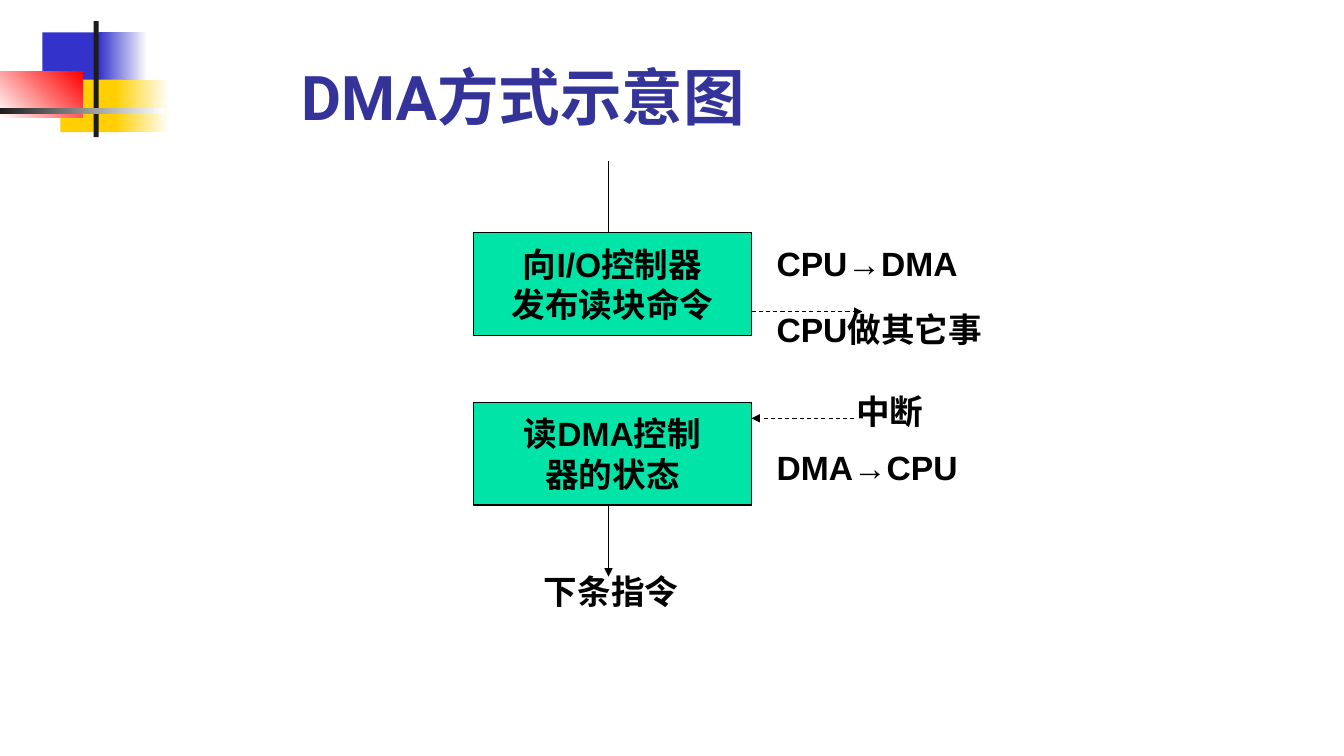
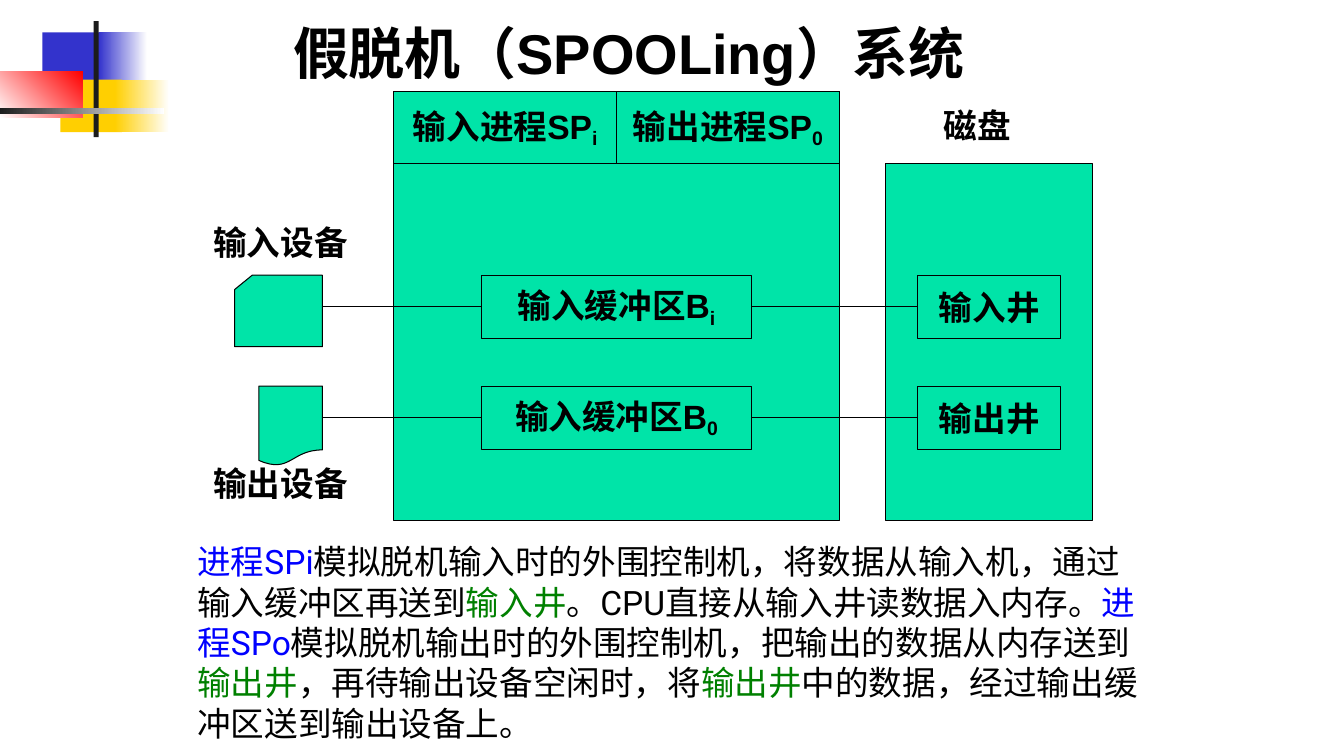
from lxml import etree
from pptx import Presentation
from pptx.dml.color import RGBColor
from pptx.enum.dml import MSO_LINE
from pptx.enum.shapes import MSO_CONNECTOR, MSO_SHAPE
from pptx.enum.text import MSO_ANCHOR, PP_ALIGN
from pptx.oxml.ns import qn
from pptx.util import Inches, Pt

rgb = RGBColor.from_string
BLACK, WHITE, DARK = "000000", "FFFFFF", "1C1C1C"
GREEN, BLUE, YELLOW, RED = "00E4A8", "3333CC", "FFCF01", "FF0000"
NAVY, TERM_BLUE, TERM_GREEN = "333399", "0000FF", "008000"
RECT = MSO_SHAPE.RECTANGLE


def add_box(s, at, fill=GREEN, kind=RECT, line=BLACK):
    sp = s.shapes.add_shape(kind, *map(Inches, at))
    sp.shadow.inherit = False
    sp.fill.solid()
    sp.fill.fore_color.rgb = rgb(fill)
    if line:
        sp.line.color.rgb = rgb(line)
        sp.line.width = Pt(0.75)
    else:
        sp.line.fill.background()
    return sp


def write(sp, paras, size=24, font="Arial", color=BLACK, bold=True,
          align=PP_ALIGN.LEFT, anchor=MSO_ANCHOR.TOP, wrap=True):
    """Fill a shape with paragraphs, each given as a list of run texts."""
    tf = sp.text_frame
    tf.word_wrap = wrap
    tf.vertical_anchor = anchor
    for i, texts in enumerate(paras):
        p = tf.add_paragraph() if i else tf.paragraphs[0]
        p.alignment = align
        for text in texts:
            r = p.add_run()
            r.text = text
            r.font.size = Pt(size)
            r.font.name = font
            r.font.bold = bold
            r.font.color.rgb = rgb(color)


prs = Presentation()
prs.slide_width, prs.slide_height = Inches(13.34), Inches(7.5)
dma, spool = [prs.slides.add_slide(prs.slide_layouts[6]) for _ in range(2)]

# Corner ornament: place, start colour, end colour, gradient angle
ornament = [
    ((0.42, 0.32, 0.64, 0.52), BLUE, None, 0),
    ((0.98, 0.32, 0.48, 0.52), BLUE, WHITE, 0),
    ((0.6, 0.79, 0.61, 0.52), YELLOW, None, 0),
    ((1.14, 0.79, 0.54, 0.52), YELLOW, WHITE, 0),
    ((0, 0.71, 0.82, 0.46), WHITE, RED, 45),
    ((0.93, 0.21, 0.05, 1.15), DARK, None, 0),
    ((0, 1.07, 1.63, 0.06), DARK, WHITE, 0),
]
for s in (dma, spool):
    for at, start, end, angle in ornament:
        sp = add_box(s, at, start, line=None)
        if end:
            sp.fill.gradient()
            sp.fill.gradient_angle = angle
            for stop, color in zip(sp.fill.gradient_stops, (start, end)):
                stop.color.rgb = rgb(color)

# Titles
for s, at, text, size, font, color in [
    (dma, (2.89, 0.52, 8.52, 0.85), "DMA方式示意图", 44, "Roboto", NAVY),
    (spool, (2.81, 0.13, 8.52, 0.77), "假脱机（SPOOLing）系统", 40, "Arial", BLACK),
]:
    tb = s.shapes.add_textbox(*map(Inches, at))
    write(tb, [[text]], size, font, color, anchor=MSO_ANCHOR.BOTTOM)

# Computer, disk and devices
ROWS = (2.73, 3.83)
add_box(spool, (3.91, 0.91, 4.42, 4.25))
add_box(spool, (8.79, 1.62, 2.05, 3.54))
add_box(spool, (2.33, 2.73, 0.87, 0.71), kind=MSO_SHAPE.FLOWCHART_CARD)
add_box(spool, (2.57, 3.83, 0.63, 0.79), kind=MSO_SHAPE.FLOWCHART_DOCUMENT)

# Boxes with text; a second run is a subscript
for s, at, paras in [
    (dma, (4.7, 2.31, 2.76, 1.02), [["向I/O控制器"], ["发布读块命令"]]),
    (dma, (4.7, 3.99, 2.76, 1.02), [["读DMA控制"], ["器的状态"]]),
    (spool, (3.91, 0.91, 2.21, 0.71), [["输入进程SP", "i"]]),
    (spool, (6.12, 0.91, 2.21, 0.71), [["输出进程SP", "0"]]),
    (spool, (4.78, ROWS[0], 2.68, 0.63), [["输入缓冲区B", "i"]]),
    (spool, (4.78, ROWS[1], 2.68, 0.63), [["输入缓冲区B", "0"]]),
    (spool, (9.11, ROWS[0], 1.42, 0.63), [["输入井"]]),
    (spool, (9.11, ROWS[1], 1.42, 0.63), [["输出井"]]),
]:
    sp = add_box(s, at)
    write(sp, paras, align=PP_ALIGN.CENTER, anchor=MSO_ANCHOR.MIDDLE, wrap=False)
    for r in sp.text_frame.paragraphs[0].runs[1:]:
        r._r.get_or_add_rPr().set("baseline", "-20000")

# Lines: ends, dashed, arrowhead
lines = [
    (dma, (6.04, 1.6, 6.04, 2.31), False, False),
    (dma, (6.04, 5.01, 6.04, 5.72), False, True),
    (dma, (7.46, 3.09, 8.56, 3.09), True, True),
    (dma, (8.48, 4.15, 7.46, 4.15), True, True),
]
for top in ROWS:
    y = top + 0.31
    for x1, x2 in [(3.2, 4.78), (7.46, 9.11)]:
        lines.append((spool, (x1, y, x2, y), False, False))
for s, ends, dashed, arrow in lines:
    c = s.shapes.add_connector(MSO_CONNECTOR.STRAIGHT, *map(Inches, ends))
    c.line.color.rgb = rgb(BLACK)
    c.line.width = Pt(0.75)
    if dashed:
        c.line.dash_style = MSO_LINE.DASH
    if arrow:
        etree.SubElement(c.line._get_or_add_ln(), qn("a:tailEnd"), type="triangle")
    etree.SubElement(c._element.spPr, qn("a:effectLst"))

# Labels
for s, at, text in [
    (dma, (5.3, 5.61, 1.57, 0.5), "下条指令"),
    (dma, (7.61, 2.36, 2.05, 0.5), "CPU→DMA"),
    (dma, (7.61, 3.02, 2.28, 0.9), "CPU做其它事"),
    (dma, (8.4, 3.83, 1.02, 0.5), "中断"),
    (dma, (7.61, 4.38, 2.05, 0.5), "DMA→CPU"),
    (spool, (2.02, 2.15, 1.65, 0.5), "输入设备"),
    (spool, (2.02, 4.54, 1.65, 0.5), "输出设备"),
    (spool, (9.27, 0.99, 0.94, 0.5), "磁盘"),
]:
    write(s.shapes.add_textbox(*map(Inches, at)), [[text]])

# Explanation with coloured terms
explanation = [
    ("进程SPi", TERM_BLUE),
    ("模拟脱机输入时的外围控制机，将数据从输入机，通过输入缓冲区再送到", BLACK),
    ("输入井", TERM_GREEN),
    ("。CPU直接从输入井读数据入内存。", BLACK),
    ("进程SPo", TERM_BLUE),
    ("模拟脱机输出时的外围控制机，把输出的数据从内存送到", BLACK),
    ("输出井", TERM_GREEN),
    ("，再待输出设备空闲时，将", BLACK),
    ("输出井", TERM_GREEN),
    ("中的数据，经过输出缓冲区送到输出设备上。", BLACK),
]
tb = spool.shapes.add_textbox(*map(Inches, (1.86, 5.32, 9.61, 2.1)))
write(tb, [[text for text, _ in explanation]], font="Roboto", bold=False)
for r, (_, color) in zip(tb.text_frame.paragraphs[0].runs, explanation):
    r.font.color.rgb = rgb(color)

prs.save("out.pptx")
